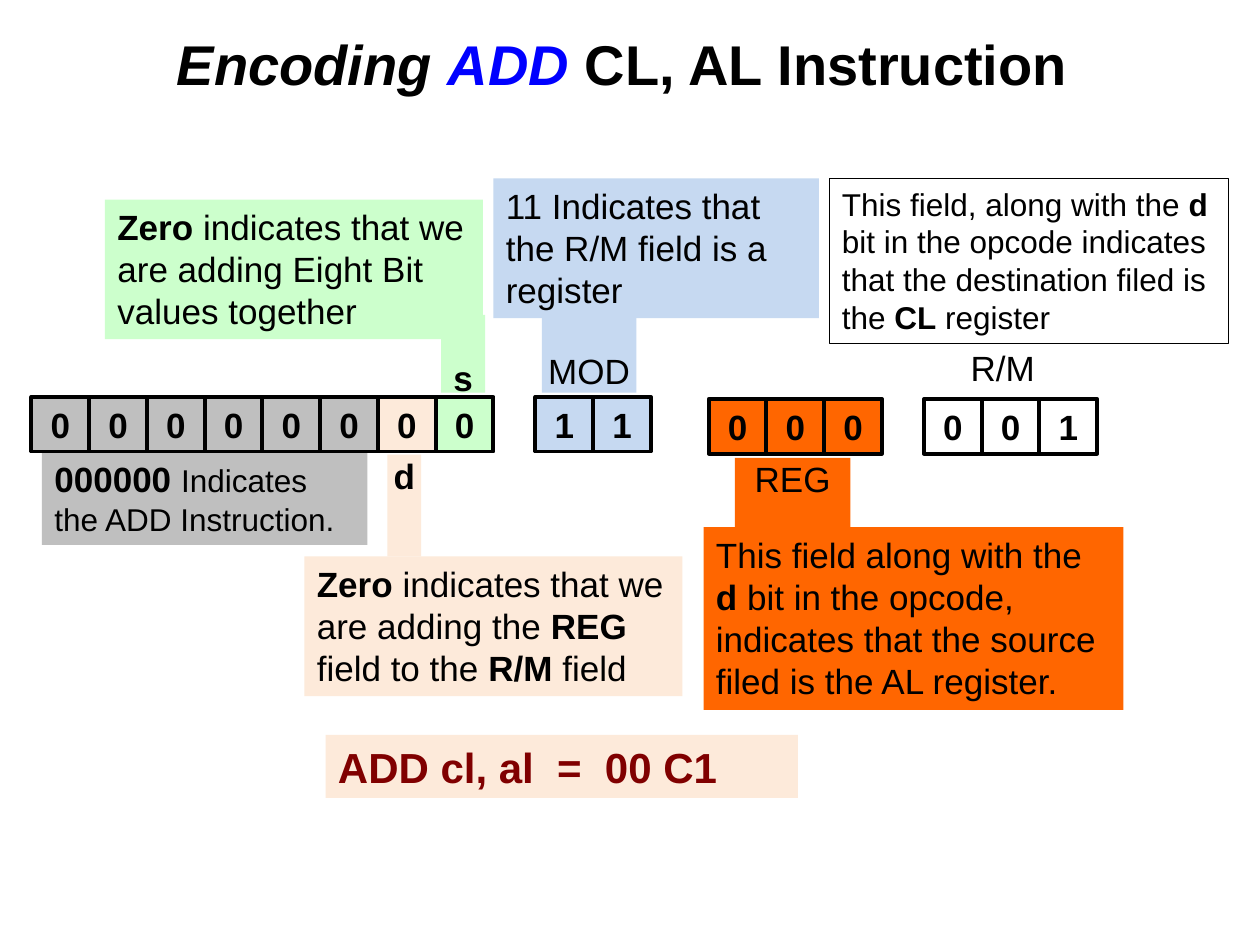
from pptx import Presentation
from pptx import util as u
from pptx.dml.color import RGBColor
from pptx.enum import shapes, text

# The slide is a grid of 120 columns by 90 rows.
UNIT = u.Inches(10) / 120
BIT_W, BIT_H = 5.5, 5.2
COLORS = {
    "black": "000000", "white": "FFFFFF", "blue": "0000FF", "maroon": "800000",
    "gray": "BFBFBF", "peach": "FDEADA", "green": "CCFFCC",
    "sky": "C6D9F1", "orange": "FF6600",
}
FONT = {"name": "Arial", "size": u.Pt(20), "bold": False}


def color(name):
    return RGBColor.from_string(COLORS[name])


def grid(*cells):
    return [round(cell * UNIT) for cell in cells]


def add_run(p, words, ink="black", **formats):
    r = p.add_run()
    r.text = words
    for key, value in {**FONT, **formats}.items():
        setattr(r.font, key, value)
    r.font.color.rgb = color(ink)


def add_box(parent, at, fill, line=None):
    sp = parent.add_shape(shapes.MSO_SHAPE.RECTANGLE, *grid(*at))
    sp.shadow.inherit = False
    sp.fill.solid()
    sp.fill.fore_color.rgb = color(fill)
    if line:
        sp.line.color.rgb = color("black")
        sp.line.width = u.Pt(line)
    else:
        sp.line.fill.background()
    return sp


def add_callout(s, at, fill, words, size=20, bold_size=None, ink="black", line=None):
    """Left-aligned note; the parts of words between asterisks are bold."""
    sp = add_box(s.shapes, at, fill, line)
    tf = sp.text_frame
    tf.word_wrap = True
    tf.vertical_anchor = text.MSO_ANCHOR.TOP
    p = tf.paragraphs[0]
    p.alignment = text.PP_ALIGN.LEFT
    for i, part in enumerate(words.split("*")):
        if part:
            bold = i % 2 == 1
            pt = bold_size if bold and bold_size else size
            add_run(p, part, ink, size=u.Pt(pt), bold=bold)


def center_label(sp, words, bold, anchor, wrap, drop=0):
    tf = sp.text_frame
    formats = {"margin_left": 0, "margin_right": 0, "margin_bottom": 0,
               "margin_top": u.Inches(drop), "word_wrap": wrap,
               "vertical_anchor": anchor}
    for key, value in formats.items():
        setattr(tf, key, value)
    p = tf.paragraphs[0]
    p.alignment = text.PP_ALIGN.CENTER
    add_run(p, words, bold=bold)


def add_tab(s, at, fill, words, bold=False, drop=0):
    """Strip that ties a field to its callout, with the field's name."""
    sp = add_box(s.shapes, at, fill)
    center_label(sp, words, bold, text.MSO_ANCHOR.TOP, False, drop)


def add_field(s, col, row, bits, fills):
    group = s.shapes.add_group_shape()
    for i, (bit, fill) in enumerate(zip(bits, fills)):
        sp = add_box(group.shapes, (col + i * BIT_W, row, BIT_W, BIT_H), fill, 2.25)
        center_label(sp, bit, True, text.MSO_ANCHOR.MIDDLE, True)


def add_title(s):
    sp = s.shapes.title
    sp.left, sp.top, sp.width, sp.height = grid(6, 2, 108, 8)
    tf = sp.text_frame
    tf.auto_size = text.MSO_AUTO_SIZE.NONE
    tf.vertical_anchor = text.MSO_ANCHOR.MIDDLE
    p = tf.paragraphs[0]
    p.alignment = text.PP_ALIGN.CENTER
    for words, ink, italic in (("Encoding ", "black", True), ("ADD ", "blue", True),
                               ("CL, AL Instruction ", "black", False)):
        add_run(p, words, ink, size=u.Pt(32), bold=True, italic=italic)


def main():
    prs = Presentation()
    prs.slide_width, prs.slide_height = grid(120, 90)
    s = prs.slides.add_slide(prs.slide_layouts[5])
    add_title(s)

    add_callout(s, (4, 43, 31, 8.9), "gray",
                "*000000 *Indicates the ADD Instruction.", 18, bold_size=20)
    add_callout(s, (29, 53, 36, 13.3), "peach",
                "*Zero *indicates that we are adding the *REG* field to the *R/M *field")
    add_callout(s, (47, 17, 31, 13.3), "sky",
                "11 Indicates that the R/M field is a register")
    add_callout(s, (67, 50.2, 40, 17.4), "orange",
                "This field along with the *d *bit in the opcode, "
                "indicates that the source filed is the AL register.")
    add_callout(s, (79, 17, 38, 15.7), "white",
                "This field, along with the *d* bit in the opcode indicates "
                "that the destination filed is the *CL* register", 18, line=0.75)

    add_field(s, 3, 37.8, "00000000", ["gray"] * 6 + ["peach", "green"])
    add_tab(s, (36.9, 43.3, 3.2, 9.7), "peach", "d", bold=True)
    add_callout(s, (10, 19, 36, 13.3), "green",
                "*Zero *indicates that we are adding Eight Bit values together")
    add_tab(s, (42, 30, 4.2, 7.4), "green", "s", bold=True, drop=0.33)

    add_field(s, 51, 37.8, "11", ["sky"] * 2)
    add_tab(s, (51.6, 30, 9, 7.4), "sky", "MOD", drop=0.27)

    add_field(s, 67.5, 38, "000", ["orange"] * 3)
    add_tab(s, (70, 43.6, 11, 7.4), "orange", "REG")

    add_field(s, 88, 38, "001", ["white"] * 3)
    add_tab(s, (91, 33, 9, 4.4), "white", "R/M")

    add_callout(s, (31, 70, 45, 6), "peach", "*ADD cl, al  =  00 C1*",
                bold_size=24, ink="maroon")
    prs.save("out.pptx")


if __name__ == "__main__":
    main()
